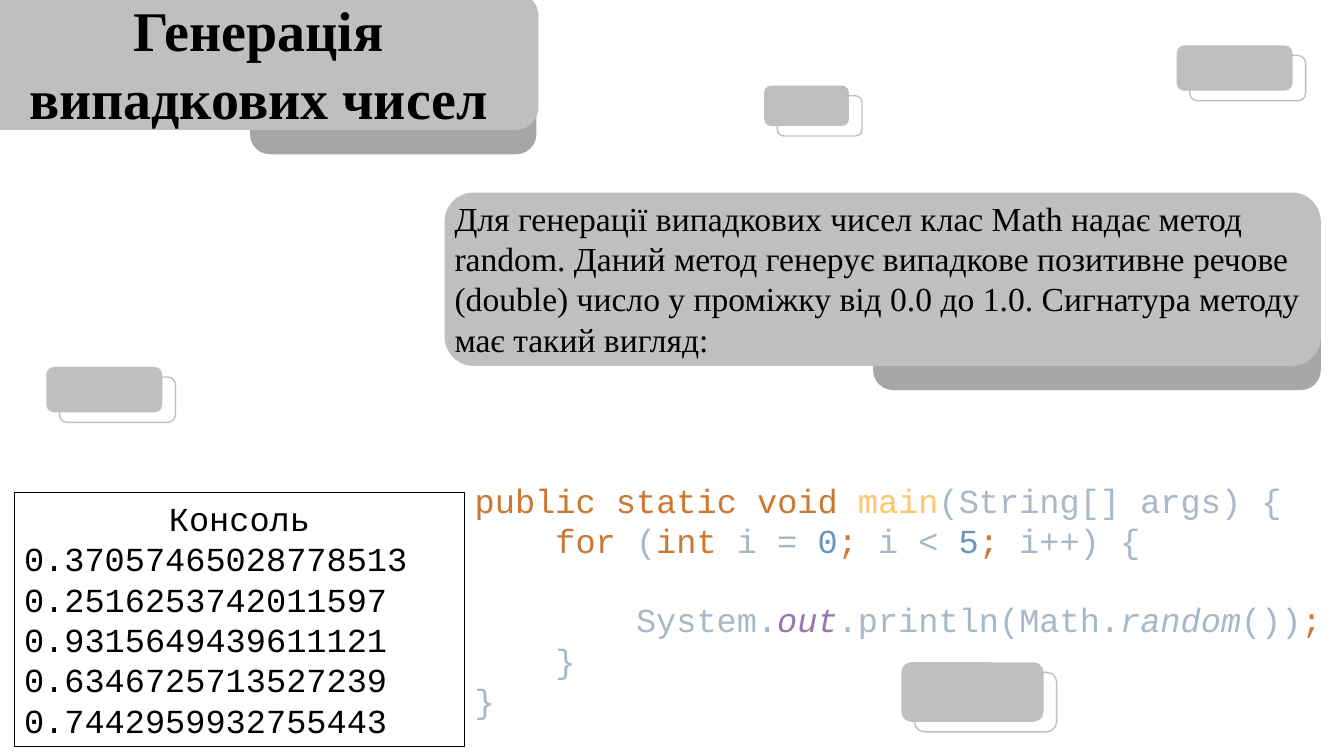
from dataclasses import dataclass

from pptx import Presentation
from pptx.dml.color import RGBColor
from pptx.enum.shapes import MSO_SHAPE as Shape
from pptx.enum.text import MSO_ANCHOR as Anchor, PP_ALIGN as Align
from pptx.util import Inches, Pt

TITLE = "Генерація випадкових чисел"
INTRO = (
    "Для генерації випадкових чисел клас Math надає метод random. "
    "Даний метод генерує випадкове позитивне речове (double) число "
    "у проміжку від 0.0 до 1.0. Сигнатура методу має такий вигляд:"
)
CONSOLE_TITLE = "Консоль"
CONSOLE_VALUES = [
    "0.37057465028778513",
    "0.2516253742011597",
    "0.9315649439611121",
    "0.6346725713527239",
    "0.7442959932755443",
]
CODE = [
    (0, [("public static void ", "keyword"), ("main", "method"),
         ("(String[] args) {", "plain")]),
    (1, [("for ", "keyword"), ("(", "plain"), ("int ", "keyword"),
         ("i = ", "plain"), ("0", "number"), ("; ", "keyword"),
         ("i < ", "plain"), ("5", "number"), ("; ", "keyword"),
         ("i++) {", "plain")]),
    (2, [("System.", "plain"), ("out", "field"), (".println(Math.", "plain"),
         ("random", "static"), ("())", "plain"), (";", "keyword")]),
    (1, [("}", "plain")]),
    (0, [("}", "plain")]),
]
LINE_AFTER_GAP = 2

TITLE_BOX = (-0.09, -0.09, 5.31, 1.45)
INTRO_BOX = (4.41, 1.91, 8.69, 1.72)
CONSOLE_BOX = (0.14, 4.89, 4.47, 2.52)
CODE_BOX = (4.61, 4.89, 8.69, 2.12)
TITLE_PANELS = [((2.48, 0.34, 2.84, 1.19), "shade"), ((-0.21, -0.07, 5.55, 1.36), "panel")]
INTRO_PANELS = [((8.66, 2.68, 4.44, 1.19), "shade"), (INTRO_BOX, "panel")]
ORNAMENTS = [
    (0.46, 3.64, 1.15, 0.45),
    (11.67, 0.45, 1.15, 0.45),
    (7.58, 0.85, 0.84, 0.4),
    (8.94, 6.57, 1.41, 0.59),
]
ORNAMENT_SHIFT = (0.13, 0.1)


@dataclass(frozen=True)
class Theme:
    colors = {
        "text": "000000", "panel": "BFBFBF", "shade": "A6A6A6",
        "keyword": "CC7832", "method": "FFC66D", "plain": "A9B7C6",
        "static": "A9B7C6", "number": "6897BB", "field": "9876AA",
    }
    italic = ("field", "static")
    serif = "Times New Roman"
    mono = "Courier New"
    title_size = Pt(40)
    body_size = Pt(24)
    code_indent = Inches(0.8)
    code_gap = Pt(28)

    def color(self, name):
        return RGBColor.from_string(self.colors[name])


theme = Theme()


def add_panel(page, box, fill=None, line=None):
    panel = page.shapes.add_shape(Shape.ROUNDED_RECTANGLE, *map(Inches, box))
    panel.shadow.inherit = False
    if fill:
        panel.fill.solid()
        panel.fill.fore_color.rgb = theme.color(fill)
    else:
        panel.fill.background()
    if line:
        panel.line.color.rgb = theme.color(line)
        panel.line.width = Pt(1)
    else:
        panel.line.fill.background()


def add_text_box(page, box, anchor=Anchor.TOP):
    text_box = page.shapes.add_textbox(*map(Inches, box))
    text_box.text_frame.word_wrap = True
    text_box.text_frame.vertical_anchor = anchor
    return text_box


def style(para, font, size, align=Align.LEFT):
    para.alignment = align
    para.font.name = font
    para.font.size = size
    para.font.color.rgb = theme.color("text")


def add_title(page):
    for box, fill in TITLE_PANELS:
        add_panel(page, box, fill)
    title = page.shapes.title
    title.left, title.top, title.width, title.height = map(Inches, TITLE_BOX)
    title.text_frame.text = TITLE
    title.text_frame.word_wrap = True
    title.text_frame.vertical_anchor = Anchor.TOP
    para = title.text_frame.paragraphs[0]
    style(para, theme.serif, theme.title_size, Align.CENTER)
    para.font.bold = True
    page.shapes._spTree.append(title._element)


def add_intro(page):
    for box, fill in INTRO_PANELS:
        add_panel(page, box, fill)
    frame = add_text_box(page, INTRO_BOX).text_frame
    frame.text = INTRO
    style(frame.paragraphs[0], theme.serif, theme.body_size)


def add_console(page):
    console = add_text_box(page, CONSOLE_BOX)
    console.line.color.rgb = theme.color("text")
    console.line.width = Pt(0.75)
    console.text_frame.text = "\n".join([CONSOLE_TITLE, *CONSOLE_VALUES])
    for para in console.text_frame.paragraphs:
        style(para, theme.mono, theme.body_size)
    console.text_frame.paragraphs[0].alignment = Align.CENTER


def add_code(page):
    frame = add_text_box(page, CODE_BOX, Anchor.MIDDLE).text_frame
    for index, (level, tokens) in enumerate(CODE):
        para = frame.paragraphs[0] if index == 0 else frame.add_paragraph()
        style(para, theme.mono, theme.body_size)
        para._p.get_or_add_pPr().set("marL", str(level * theme.code_indent))
        if index == LINE_AFTER_GAP:
            para.space_before = theme.code_gap
        for text, kind in tokens:
            span = para.add_run()
            span.text = text
            span.font.color.rgb = theme.color(kind)
            span.font.italic = kind in theme.italic


def add_ornaments(page):
    for left, top, width, height in ORNAMENTS:
        add_panel(page, (left, top, width, height), fill="panel")
        shift_x, shift_y = ORNAMENT_SHIFT
        add_panel(page, (left + shift_x, top + shift_y, width, height), line="panel")


def main():
    """Build the slide on random number generation."""
    deck = Presentation()
    deck.slide_width, deck.slide_height = Inches(13.33), Inches(7.5)
    page = deck.slides.add_slide(deck.slide_layouts[5])
    add_console(page)
    add_title(page)
    add_code(page)
    add_intro(page)
    add_ornaments(page)
    deck.save("out.pptx")


if __name__ == "__main__":
    main()
